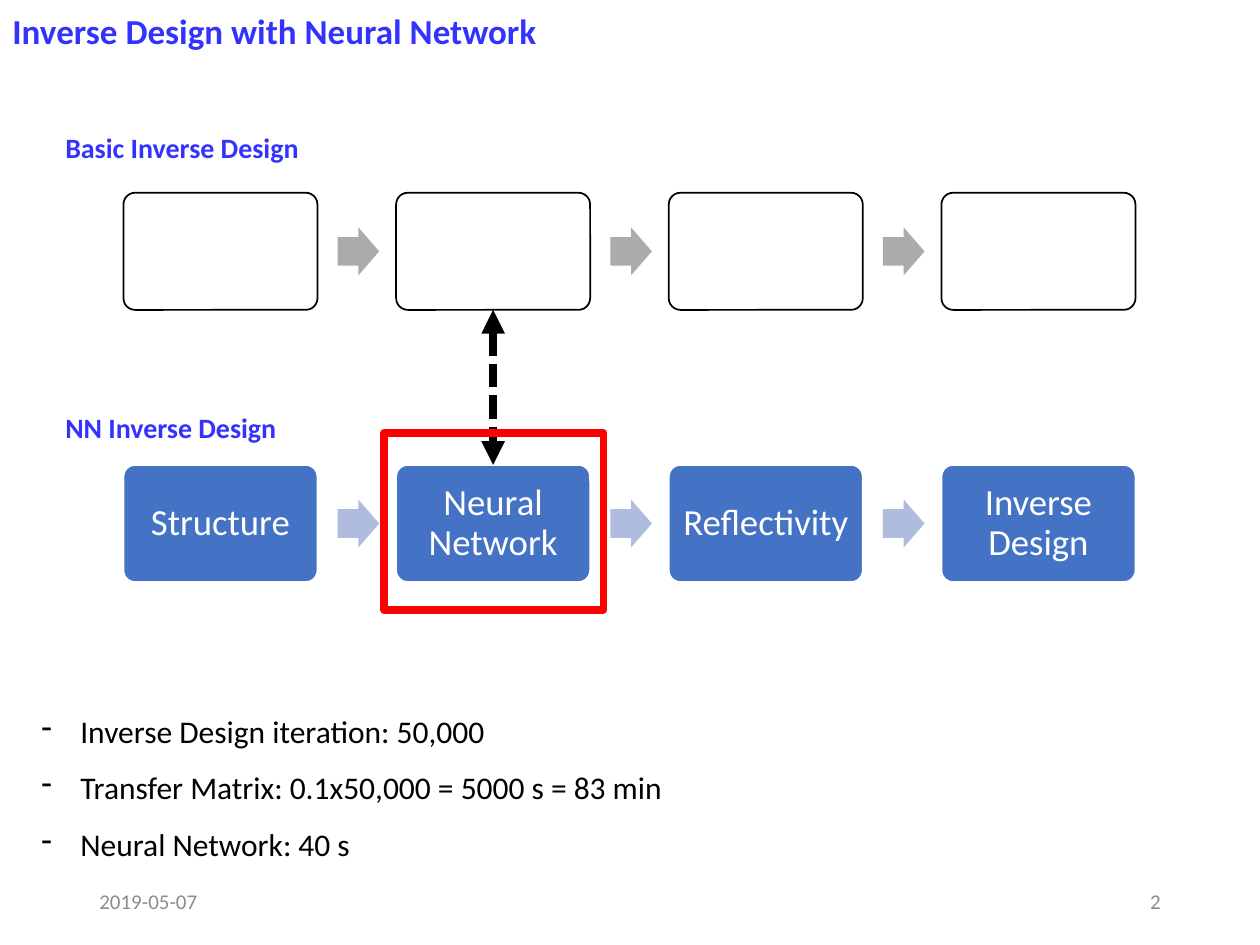
from pptx import Presentation
from pptx.dml.color import RGBColor
from pptx.enum.shapes import MSO_CONNECTOR, MSO_SHAPE as Shape
from pptx.enum.text import MSO_ANCHOR as Anchor, MSO_AUTO_SIZE as AutoSize, PP_ALIGN as Align
from pptx.oxml.ns import qn
from pptx.util import Inches, Pt
from lxml.etree import SubElement

COLORS = {
    "title": "3333FF", "text": "000000", "footer": "8C8C8C", "white": "FFFFFF",
    "box": "4472C4", "arrow": "B0BCDE", "gray": "ABABAB", "frame": "FF0000",
}
COLS, ROWS = 100, 75
BOX_W, BOX_H = 15.4, 9.3
ARROW_W, ARROW_H = 3.3, 3.8
FIRST_COL, STEP, ARROW_OFFSET = 9.8, 21.64, 17


def rgb(name):
    return RGBColor.from_string(COLORS[name])


class Slide:
    font = "Calibri"

    def __init__(self, prs):
        self.cell_w = prs.slide_width / COLS
        self.cell_h = prs.slide_height / ROWS
        self.s = prs.slides.add_slide(prs.slide_layouts[6])

    def place(self, col, row, cols, rows):
        return (int(col * self.cell_w), int(row * self.cell_h),
                int(cols * self.cell_w), int(rows * self.cell_h))

    def run(self, p, text, size, color, bold=False):
        r = p.add_run()
        r.text = text
        r.font.name, r.font.size, r.font.bold = self.font, Pt(size), bold
        r.font.color.rgb = rgb(color)

    def text(self, area, text, size, color, bold=False, wrap=False,
             align=Align.LEFT, anchor=Anchor.TOP):
        tf = self.s.shapes.add_textbox(*self.place(*area)).text_frame
        tf.word_wrap, tf.vertical_anchor = wrap, anchor
        p = tf.paragraphs[0]
        p.alignment = align
        self.run(p, text, size, color, bold)

    def bullets(self, area, items, size, color):
        tf = self.s.shapes.add_textbox(*self.place(*area)).text_frame
        tf.word_wrap, tf.auto_size = True, AutoSize.SHAPE_TO_FIT_TEXT
        for i, item in enumerate(items):
            p = tf.add_paragraph() if i else tf.paragraphs[0]
            p.alignment, p.line_spacing = Align.JUSTIFY, 1.5
            pPr = p._p.get_or_add_pPr()
            pPr.set("marL", str(Inches(0.31)))
            pPr.set("indent", str(-Inches(0.31)))
            SubElement(pPr, qn("a:buChar"), char="-")
            self.run(p, item, size, color)

    def shape(self, kind, area, fill=None, line=None, width=1, adjust=()):
        sp = self.s.shapes.add_shape(kind, *self.place(*area))
        sp.shadow.inherit = False
        for i, value in enumerate(adjust):
            sp.adjustments[i] = value
        if fill:
            sp.fill.solid()
            sp.fill.fore_color.rgb = rgb(fill)
        else:
            sp.fill.background()
        if line:
            sp.line.color.rgb = rgb(line)
            sp.line.width = Pt(width)
        else:
            sp.line.fill.background()
        return sp

    def box(self, area, text, fill, line):
        sp = self.shape(Shape.ROUNDED_RECTANGLE, area, fill, line, adjust=[0.1])
        if text:
            tf = sp.text_frame
            tf.word_wrap, tf.vertical_anchor = True, Anchor.MIDDLE
            tf.margin_left = tf.margin_right = Inches(0.08)
            p = tf.paragraphs[0]
            p.alignment, p.line_spacing = Align.CENTER, 0.9
            self.run(p, text, 21, "white")
        return sp

    def flow(self, row, labels, fill, line, arrow):
        boxes = []
        for i, label in enumerate(labels):
            col = FIRST_COL + i * STEP
            boxes.append(self.box((col, row, BOX_W, BOX_H), label, fill, line))
            if i < len(labels) - 1:
                area = (col + ARROW_OFFSET, row + (BOX_H - ARROW_H) / 2, ARROW_W, ARROW_H)
                self.shape(Shape.RIGHT_ARROW, area, arrow, adjust=[0.6, 0.5])
        return boxes

    def double_arrow(self, upper, lower, color, width):
        c = self.s.shapes.add_connector(MSO_CONNECTOR.STRAIGHT, 0, 0, 0, 0)
        c.begin_connect(upper, 2)
        c.end_connect(lower, 0)
        c.line.color.rgb, c.line.width = rgb(color), Pt(width)
        ln = c.line._get_or_add_ln()
        SubElement(ln, qn("a:prstDash"), val="sysDash")
        for end in ("a:headEnd", "a:tailEnd"):
            SubElement(ln, qn(end), type="triangle")
        SubElement(c._element.spPr, qn("a:effectLst"))


def main():
    prs = Presentation()
    prs.slide_width, prs.slide_height = Inches(10), Inches(7.5)
    s = Slide(prs)

    s.text((6.9, 69.5, 22.5, 4), "2019-05-07", 12, "footer", wrap=True, anchor=Anchor.MIDDLE)
    s.text((70.6, 69.5, 22.5, 4), "2", 12, "footer", wrap=True,
           align=Align.RIGHT, anchor=Anchor.MIDDLE)
    s.text((0, 0.3, 44, 4.4), "Inverse Design with Neural Network", 20, "title", bold=True)

    basic = s.flow(15.3, [""] * 4, "white", "text", "gray")
    neural = s.flow(36.9, ["Structure", "Neural Network", "Reflectivity", "Inverse Design"],
                    "box", "white", "arrow")
    s.text((4.2, 9.9, 20.8, 3.7), "Basic Inverse Design", 16, "title", bold=True)
    s.text((4.2, 32.1, 19, 3.7), "NN Inverse Design", 16, "title", bold=True)
    s.double_arrow(basic[1], neural[1], "text", 4.5)
    s.shape(Shape.RECTANGLE, (30.5, 34.4, 17.4, 14), line="frame", width=4.5)

    s.bullets((2.3, 54.5, 95.4, 14.6), [
        "Inverse Design iteration: 50,000",
        "Transfer Matrix: 0.1x50,000 = 5000 s = 83 min",
        "Neural Network: 40 s",
    ], 18, "text")

    prs.save("out.pptx")


if __name__ == "__main__":
    main()
